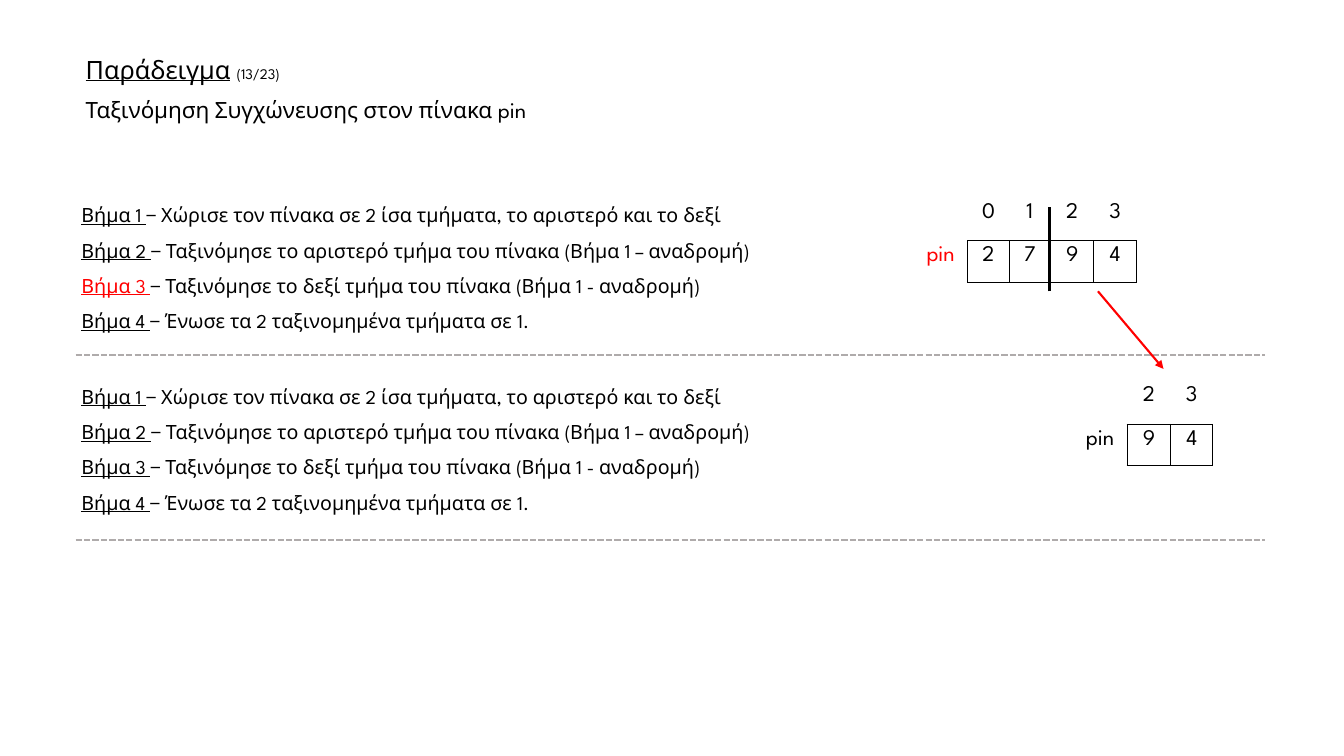
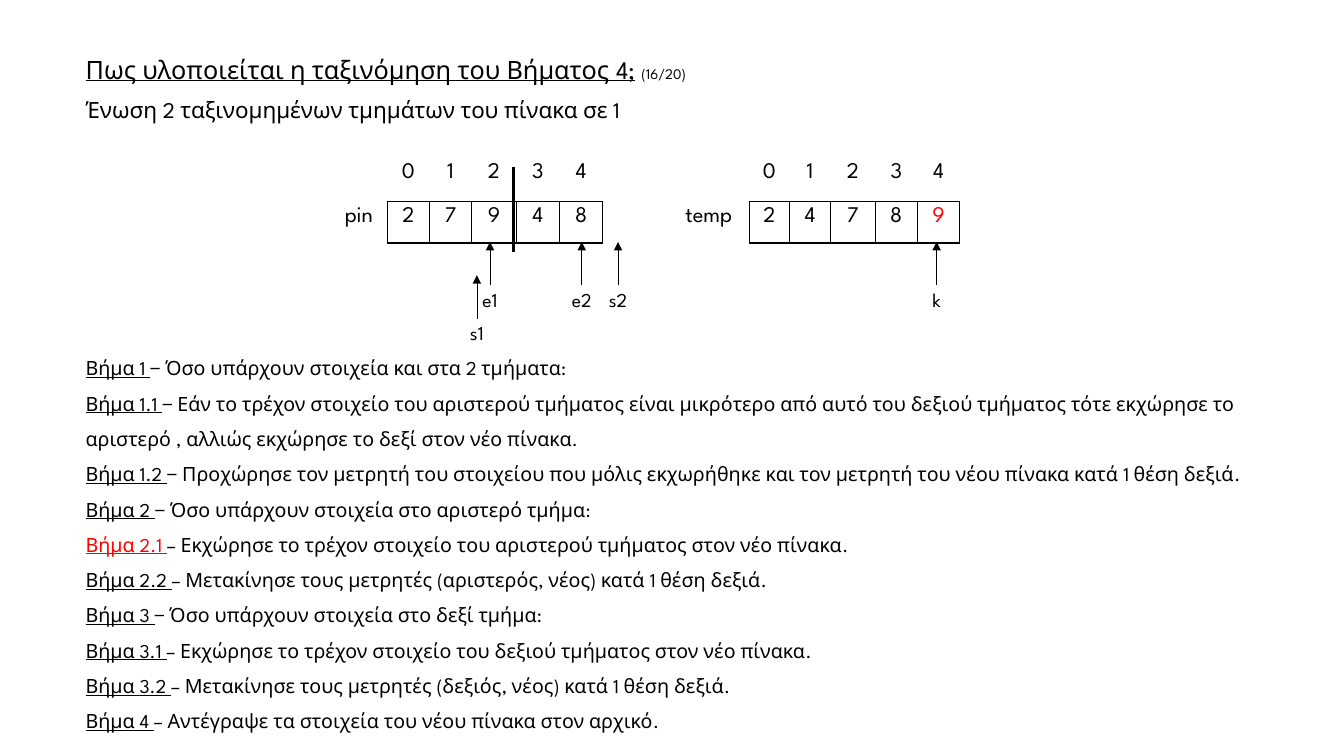
from dataclasses import dataclass
from lxml import etree
from pptx import Presentation
from pptx.dml.color import RGBColor
from pptx.enum import dml, shapes, text
from pptx.oxml import ns
from pptx.util import Inches, Pt


@dataclass(frozen=True)
class Theme:
    font: str = "League Spartan"
    ink: str = "000000"
    hot: str = "FF0000"
    rule: str = "AFABAB"
    title: float = 18
    sub: float = 16
    page: float = 10.5
    body: float = 14
    cell: float = 16


T = Theme()
NO_STYLE = "{2D5ABB26-0587-4C30-8999-92F81FD0307C}"
ROWS = (0.43, 0.41)
LEFT, RIGHT = 0.75, 12.55

SORT = [
    ("Βήμα 1 ", "− Χώρισε τον πίνακα σε 2 ίσα τμήματα, το αριστερό και το δεξί"),
    ("Βήμα 2 ", "− Ταξινόμησε το αριστερό τμήμα του πίνακα (Βήμα 1 – αναδρομή)"),
    ("Βήμα 3 ", "− Ταξινόμησε το δεξί τμήμα του πίνακα (Βήμα 1 - αναδρομή)"),
    ("Βήμα 4 ", "− Ένωσε τα 2 ταξινομημένα τμήματα σε 1."),
]
MERGE = [
    ("Βήμα 1 ", "− Όσο υπάρχουν στοιχεία και στα 2 τμήματα:"),
    ("Βήμα 1.1 ", "− Εάν το τρέχον στοιχείο του αριστερού τμήματος είναι μικρότερο "
     "από αυτό του δεξιού τμήματος τότε εκχώρησε το αριστερό , "
     "αλλιώς εκχώρησε το δεξί στον νέο πίνακα."),
    ("Βήμα 1.2 ", "− Προχώρησε τον μετρητή του στοιχείου που μόλις εκχωρήθηκε "
     "και τον μετρητή του νέου πίνακα κατά 1 θέση δεξιά."),
    ("Βήμα 2 ", "− Όσο υπάρχουν στοιχεία στο αριστερό τμήμα:"),
    ("Βήμα 2.1 ", "– Εκχώρησε το τρέχον στοιχείο του αριστερού τμήματος στον νέο πίνακα."),
    ("Βήμα 2.2 ", "– Μετακίνησε τους μετρητές (αριστερός, νέος) κατά 1 θέση δεξιά."),
    ("Βήμα 3 ", "− Όσο υπάρχουν στοιχεία στο δεξί τμήμα:"),
    ("Βήμα 3.1 ", "– Εκχώρησε το τρέχον στοιχείο του δεξιού τμήματος στον νέο πίνακα."),
    ("Βήμα 3.2 ", "– Μετακίνησε τους μετρητές (δεξιός, νέος) κατά 1 θέση δεξιά."),
    ("Βήμα 4 ", "– Αντέγραψε τα στοιχεία του νέου πίνακα στον αρχικό."),
]


# Text helpers
def put(item, **vals):
    for key, val in vals.items():
        setattr(item, key, val)


def add_run(para, words, size, color=T.ink, under=False):
    run = para.add_run()
    run.text = words
    put(run.font, name=T.font, size=Pt(size), underline=under, bold=False)
    run.font.color.rgb = RGBColor.from_string(color)


def next_para(frame, first):
    return frame.paragraphs[0] if first else frame.add_paragraph()


def add_box(slide, x, y, w, h):
    box = slide.shapes.add_textbox(*map(Inches, (x, y, w, h)))
    box.text_frame.word_wrap = True
    return box


# Two-line heading in the title placeholder
def add_title(slide, head, page, sub):
    title = slide.shapes.title
    put(title, left=Inches(LEFT), top=Inches(0.52),
        width=Inches(10.79), height=Inches(0.77))
    frame = title.text_frame
    put(frame, word_wrap=True, auto_size=text.MSO_AUTO_SIZE.NONE,
        vertical_anchor=text.MSO_ANCHOR.TOP)
    lines = [[(head, T.title, True), (" ", T.title, False), (page, T.page, False)],
             [(sub, T.sub, False)]]
    for i, parts in enumerate(lines):
        para = next_para(frame, i == 0)
        put(para, alignment=text.PP_ALIGN.LEFT, line_spacing=0.9,
            space_before=Pt(10 if i else 0))
        for words, size, under in parts:
            add_run(para, words, size, under=under)


# List of steps, with the current one marked
def add_steps(slide, steps, x, y, w, h, now=None):
    frame = add_box(slide, x, y, w, h).text_frame
    frame.auto_size = text.MSO_AUTO_SIZE.SHAPE_TO_FIT_TEXT
    for i, (label, words) in enumerate(steps):
        para = next_para(frame, i == 0)
        para.line_spacing = 1.5
        add_run(para, label, T.body, T.hot if i == now else T.ink, True)
        add_run(para, words, T.body)


# Array drawn as a table: indexes above, name and values below
def add_edges(cell, sides):
    props = cell._tc.get_or_add_tcPr()
    for side in sides:
        line = etree.SubElement(props, ns.qn("a:ln" + side), w=str(Pt(1)))
        fill = etree.SubElement(line, ns.qn("a:solidFill"))
        etree.SubElement(fill, ns.qn("a:srgbClr"), val=T.ink)


def add_array(slide, x, y, widths, name, values, start=0, hot=None):
    grid = [["", *range(start, start + len(values))], [name, *values]]
    frame = slide.shapes.add_table(2, len(widths), Inches(x), Inches(y),
                                   Inches(sum(widths)), Inches(sum(ROWS)))
    table = frame.table
    put(table, first_row=False, horz_banding=False)
    table._tbl.tblPr.find(ns.qn("a:tableStyleId")).text = NO_STYLE
    for col, width in zip(table.columns, widths):
        col.width = Inches(width)
    for r, row in enumerate(grid):
        table.rows[r].height = Inches(ROWS[r])
        for c, value in enumerate(row):
            cell = table.cell(r, c)
            edges = ("LRTB" if c else "R") if r else ("B" if c else "")
            add_edges(cell, edges)
            cell.fill.background()
            para = cell.text_frame.paragraphs[0]
            para.alignment = text.PP_ALIGN.CENTER
            if value == "":
                para.font.size = Pt(T.cell)
            else:
                add_run(para, str(value), T.cell, T.hot if (r, c) == hot else T.ink)


# Lines and pointers
def add_line(slide, x1, y1, x2, y2, width, color=T.ink, dash=None, arrow=False):
    link = slide.shapes.add_connector(shapes.MSO_CONNECTOR.STRAIGHT,
                                      *map(Inches, (x1, y1, x2, y2)))
    link.line.color.rgb = RGBColor.from_string(color)
    put(link.line, width=Pt(width), dash_style=dash)
    if arrow:
        etree.SubElement(link.line._get_or_add_ln(), ns.qn("a:tailEnd"), type="triangle")
    etree.SubElement(link._element.spPr, ns.qn("a:effectLst"))
    return link


def add_rule(slide, y):
    add_line(slide, LEFT, y, RIGHT, y, 1.5, T.rule, dml.MSO_LINE.SQUARE_DOT)


def add_split(slide, x, y):
    add_line(slide, x, y + 0.84, x, y, 2.25)


def add_mark(slide, name, x, y):
    wide = 0.47
    box = add_box(slide, x - wide / 2, y, wide, 0.35)
    para = box.text_frame.paragraphs[0]
    put(para, alignment=text.PP_ALIGN.CENTER, line_spacing=0.9)
    add_run(para, name, T.body)
    link = add_line(slide, x, y, x, y - 0.43, 0.5, arrow=True)
    link.begin_connect(box, 0)


# Slides
def sort_slide(slide):
    add_title(slide, "Παράδειγμα", "(13/23)", "Ταξινόμηση Συγχώνευσης στον πίνακα pin")
    add_steps(slide, SORT, 0.71, 1.85, 7.03, 1.47, now=2)
    add_steps(slide, SORT, 0.71, 3.65, 7.03, 1.47)
    add_array(slide, 9.06, 1.96, (0.54, 0.41, 0.41, 0.43, 0.42), "pin",
              (2, 7, 9, 4), hot=(1, 0))
    add_array(slide, 10.64, 3.78, (0.54, 0.43, 0.42), "pin", (9, 4), start=2)
    add_split(slide, 10.41, 2.05)
    for y in (3.52, 5.36):
        add_rule(slide, y)
    add_line(slide, 10.89, 2.89, 11.54, 3.66, 1.5, T.hot, arrow=True)


def merge_slide(slide):
    add_title(slide, "Πως υλοποιείται η ταξινόμηση του Βήματος 4;", "(16/20)",
              "Ένωση 2 ταξινομημένων τμημάτων του πίνακα σε 1")
    add_steps(slide, MERGE, LEFT, 3.37, 12.35, 3.94, now=4)
    add_array(slide, 3.28, 1.57, (0.56, 0.42, 0.42, 0.44, 0.43, 0.43), "pin",
              (2, 7, 9, 4, 8))
    add_array(slide, 6.63, 1.57, (0.8, 0.4, 0.41, 0.44, 0.42, 0.42), "temp",
              (2, 4, 7, 8, 9), hot=(1, 5))
    add_split(slide, 5.09, 1.66)
    for name, x, y in (("s2", 6.13, 2.83), ("e2", 5.77, 2.83), ("s1", 4.73, 3.16),
                       ("e1", 4.86, 2.83), ("k", 9.29, 2.83)):
        add_mark(slide, name, x, y)


def main():
    deck = Presentation()
    put(deck, slide_width=Inches(13.33), slide_height=Inches(7.5))
    for build in (sort_slide, merge_slide):
        build(deck.slides.add_slide(deck.slide_layouts[5]))
    deck.save("out.pptx")


if __name__ == "__main__":
    main()
